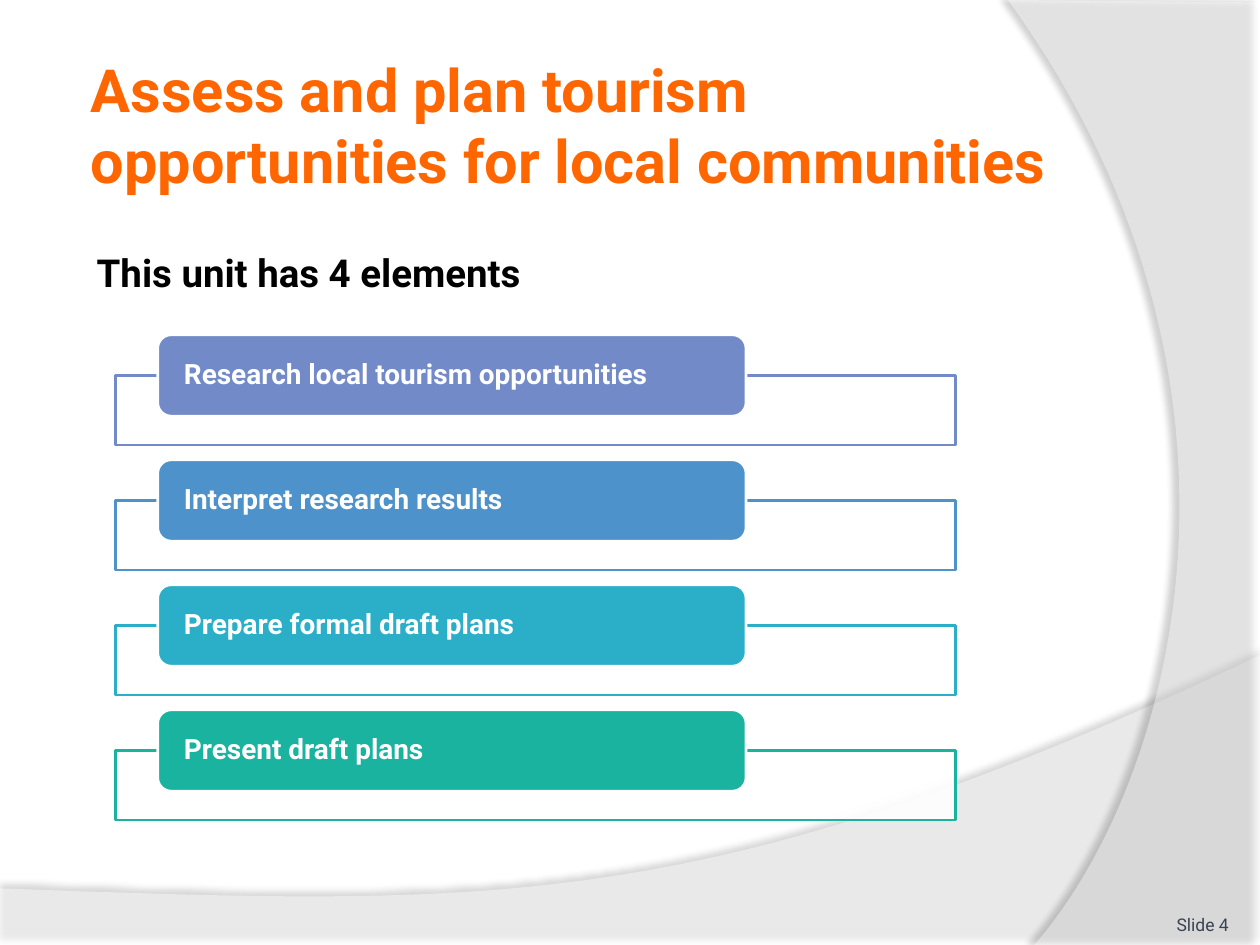
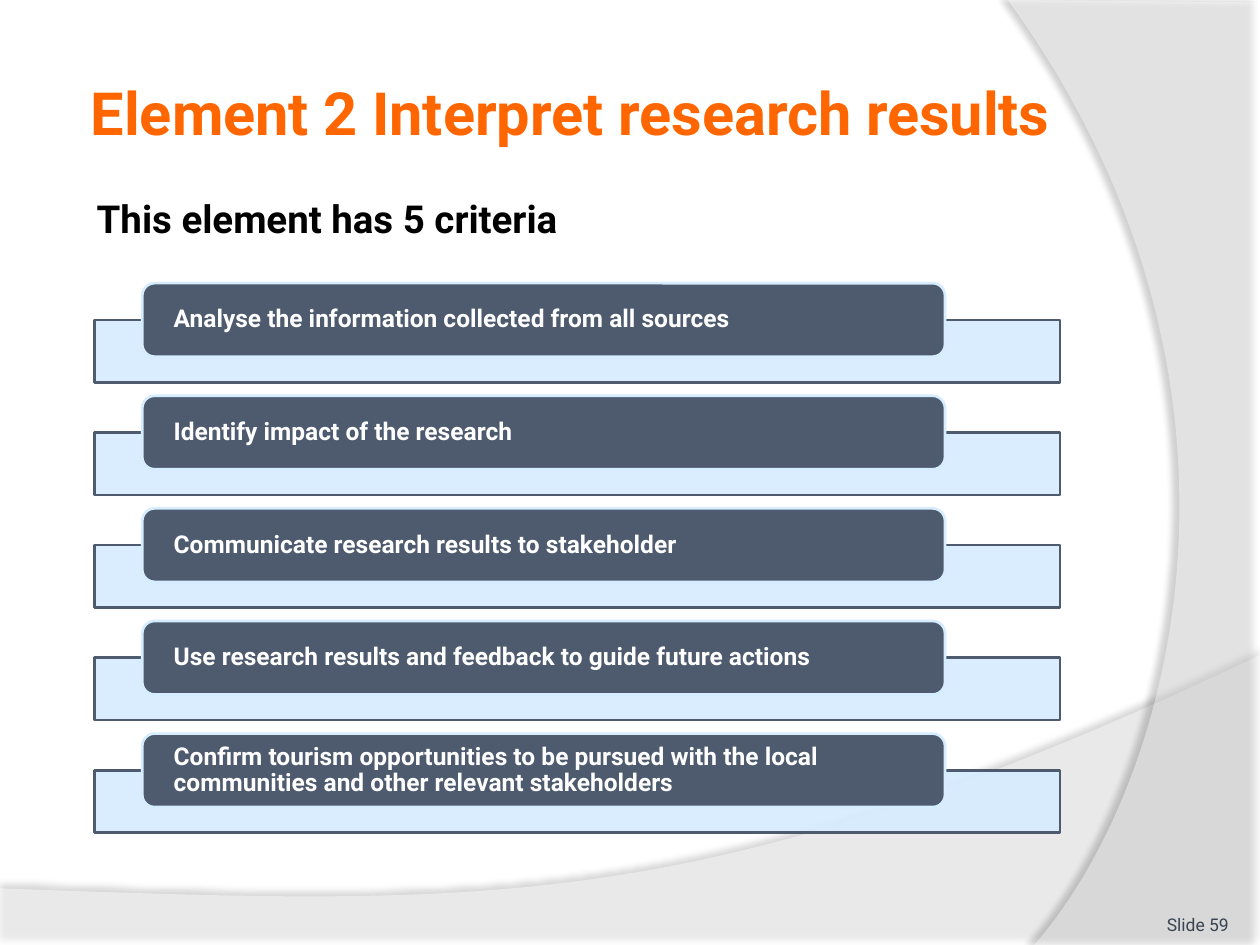
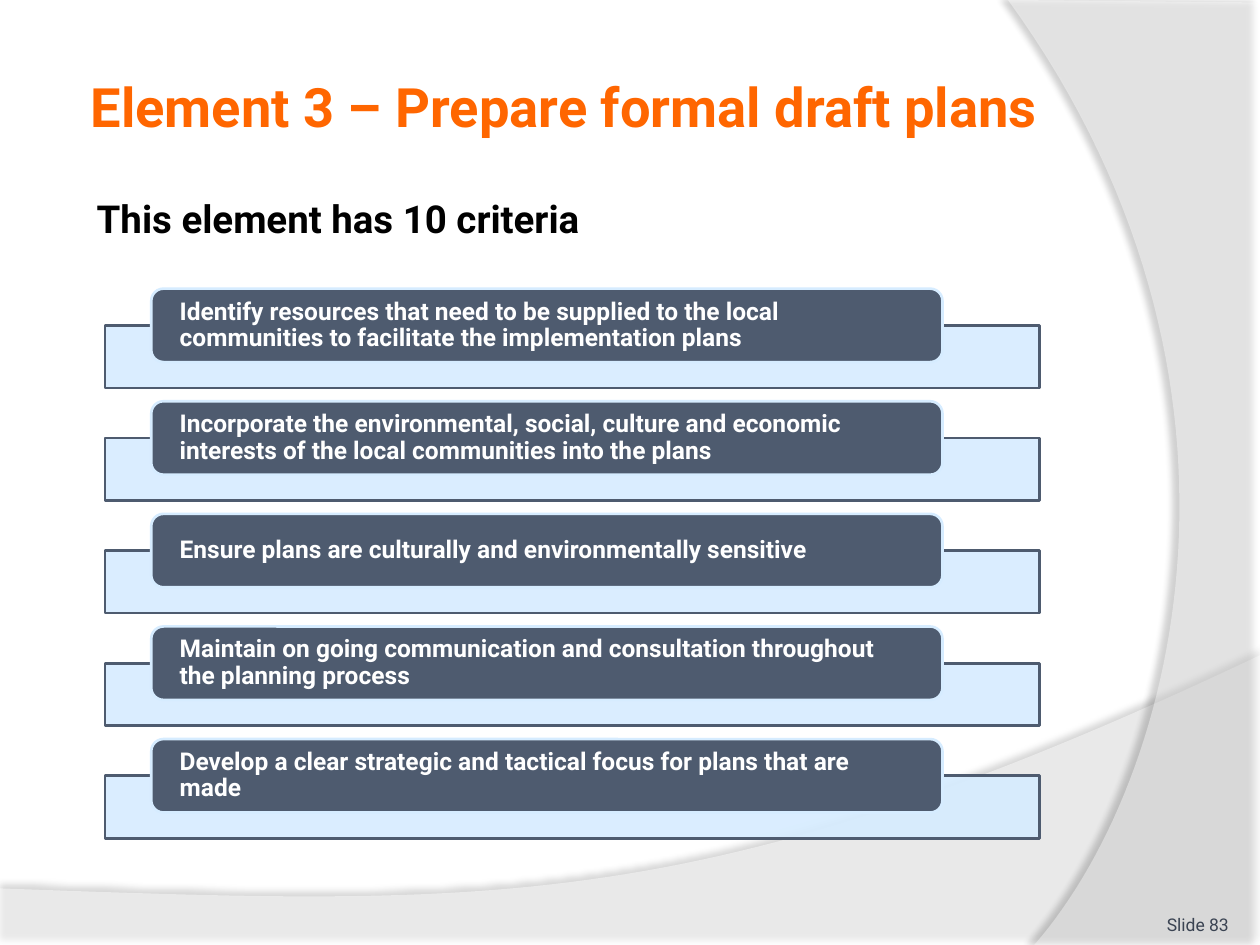
from dataclasses import dataclass

from pptx import Presentation
from pptx.dml.color import RGBColor
from pptx.enum.shapes import MSO_SHAPE
from pptx.enum.text import MSO_ANCHOR, MSO_AUTO_SIZE, PP_ALIGN
from pptx.oxml import parse_xml
from pptx.oxml.ns import nsdecls, qn
from pptx.slide import Slide, SlideLayout
from pptx.text.text import TextFrame
from pptx.util import Cm, Pt

FONT = "Roboto"
COLOURS = {
    "title": "FF6600",
    "body": "000000",
    "footer": "3A4352",
    "white": "FFFFFF",
    "shadow": "000000",
    "slate": "4E5B6F",
    "ice": "D6ECFF",
    "violet": "738AC8",
    "blue": "4D92CA",
    "cyan": "2BAEC7",
    "green": "1AB39F",
}
SLIDE_WIDTH, SLIDE_HEIGHT = 25.4, 19.05
CONTENT_LEFT, CONTENT_WIDTH, CONTENT_BOTTOM = 1.7, 20.75, 16.92
TITLE_TOP = 0.91
CURVE_STEPS = 60

Point = tuple[float, float]


@dataclass(frozen=True)
class Wave:
    """A background area: straight corners, closed by one cubic curve."""
    corners: list[Point]
    curve: tuple[Point, Point, Point, Point]
    opacity: int
    shadow_opacity: int
    shadow_distance: float
    shadow_angle: int


@dataclass(frozen=True)
class StackStyle:
    """Measures, in centimetres, of a column of frames with overlapping tags."""
    left: float
    top: float
    width: float
    height: float
    pitch: float
    tag_left: float
    tag_width: float
    tag_height: float
    tag_rise: float
    tag_inset: float
    text_size: int
    paper: str
    inks: list[str]


@dataclass(frozen=True)
class ElementSlide:
    number: int
    title: str
    title_size: int
    title_height: float
    lead: str
    lead_top: float
    items: list[str]
    style: StackStyle


WAVES = [
    Wave([(0, 17.91), (0, SLIDE_HEIGHT), (SLIDE_WIDTH, SLIDE_HEIGHT)],
         ((25.4, 13.21), (14.2, 18.52), (9.93, 18.26), (0, 17.91)),
         45, 35, 3.5, 270),
    Wave([(SLIDE_WIDTH, 0.05), (SLIDE_WIDTH, SLIDE_HEIGHT)],
         ((20.85, 19.05), (23.75, 15.72), (25.86, 7.62), (20.32, 0)),
         40, 45, 4, 180),
]

SLIDES = [
    ElementSlide(
        4, "Assess and plan tourism opportunities for local communities", 34, 3.18,
        "This unit has 4 elements", 4.88,
        [
            "Research local tourism opportunities",
            "Interpret research results",
            "Prepare formal draft plans",
            "Present draft plans",
        ],
        StackStyle(2.33, 7.57, 16.93, 1.4, 2.52, 3.18, 11.86, 1.64, 0.82, 0.45,
                   16, "white", ["violet", "blue", "cyan", "green"]),
    ),
    ElementSlide(
        59, "Element 2 Interpret research results", 34, 2.67,
        "This element has 5 criteria", 3.81,
        [
            "Analyse the information collected from all sources",
            "Identify impact of the research",
            "Communicate research results to stakeholder",
            "Use research results and feedback to guide future actions",
            "Confirm tourism opportunities to be pursued with the local "
            "communities and other relevant stakeholders",
        ],
        StackStyle(1.9, 6.45, 19.47, 1.26, 2.27, 2.87, 16.18, 1.48, 0.74, 0.56,
                   14, "ice", ["slate"]),
    ),
    ElementSlide(
        83, "Element 3 – Prepare formal draft plans", 31, 2.46,
        "This element has 10 criteria", 3.81,
        [
            "Identify resources that need to be supplied to the local "
            "communities to facilitate the implementation plans",
            "Incorporate the environmental, social, culture and economic "
            "interests of the local communities into the plans",
            "Ensure plans are culturally and environmentally sensitive",
            "Maintain on going communication and consultation throughout "
            "the planning process",
            "Develop a clear strategic and tactical focus for plans that are made",
        ],
        StackStyle(2.12, 6.56, 18.84, 1.26, 2.27, 3.05, 15.95, 1.48, 0.74, 0.5,
                   14, "ice", ["slate"]),
    ),
]


def colour(name: str) -> RGBColor:
    return RGBColor.from_string(COLOURS[name])


def place(shape, left: float, top: float, width: float, height: float) -> None:
    shape.left, shape.top = Cm(left), Cm(top)
    shape.width, shape.height = Cm(width), Cm(height)


def set_opacity(shape, percent: int) -> None:
    fill_colour = shape.element.spPr.find(qn("a:solidFill"))[0]
    fill_colour.append(parse_xml(f'<a:alpha {nsdecls("a")} val="{percent * 1000}"/>'))


def write(frame: TextFrame, text: str, size: int, colour_name: str, bold: bool = True,
          anchor: MSO_ANCHOR = MSO_ANCHOR.MIDDLE, align: PP_ALIGN = PP_ALIGN.LEFT,
          inset: tuple[float, float] = (0, 0)):
    """Write one formatted run; inset is horizontal, then vertical."""
    frame.word_wrap = True
    frame.auto_size = MSO_AUTO_SIZE.NONE
    frame.vertical_anchor = anchor
    frame.margin_left = frame.margin_right = Cm(inset[0])
    frame.margin_top = frame.margin_bottom = Cm(inset[1])
    paragraph = frame.paragraphs[0]
    paragraph.alignment = align
    paragraph.space_before = Pt(0)
    run = paragraph.add_run()
    run.text = text
    run.font.name, run.font.size, run.font.bold = FONT, Pt(size), bold
    run.font.color.rgb = colour(colour_name)
    return paragraph


def curve_points(curve: tuple[Point, Point, Point, Point]) -> list[Point]:
    points = []
    for step in range(CURVE_STEPS + 1):
        t = step / CURVE_STEPS
        weights = ((1 - t) ** 3, 3 * t * (1 - t) ** 2, 3 * t ** 2 * (1 - t), t ** 3)
        points.append(tuple(sum(weight * point[axis] for weight, point in zip(weights, curve))
                            for axis in (0, 1)))
    return points


def add_waves(slide: Slide, layout: SlideLayout) -> None:
    """Draw the waves on a slide, then move them behind everything on its layout."""
    for index, wave in enumerate(WAVES):
        points = [(Cm(x), Cm(y)) for x, y in wave.corners + curve_points(wave.curve)]
        builder = slide.shapes.build_freeform(*points[0])
        builder.add_line_segments(points[1:], close=True)
        shape = builder.convert_to_shape()
        shape.fill.solid()
        shape.fill.fore_color.rgb = colour("white")
        set_opacity(shape, wave.opacity)
        shape.line.fill.background()
        shape.shadow.inherit = False
        effects = shape.element.spPr.find(qn("a:effectLst"))
        effects.append(parse_xml(
            f'<a:outerShdw {nsdecls("a")} blurRad="{Pt(4)}" dist="{Pt(wave.shadow_distance)}" '
            f'dir="{wave.shadow_angle * 60000}" algn="ctr" rotWithShape="0">'
            f'<a:srgbClr val="{COLOURS["shadow"]}">'
            f'<a:alpha val="{wave.shadow_opacity * 1000}"/></a:srgbClr></a:outerShdw>'))
        shape.element.nvSpPr.cNvPr.set("id", str(20 + index))
        layout.shapes.element.insert(2 + index, shape.element)


def add_box(slide: Slide, kind: MSO_SHAPE, bounds: tuple[float, float, float, float],
            fill: str, line: str):
    shape = slide.shapes.add_shape(kind, *(Cm(length) for length in bounds))
    shape.shadow.inherit = False
    shape.fill.solid()
    shape.fill.fore_color.rgb = colour(fill)
    shape.line.color.rgb = colour(line)
    shape.line.width = Pt(1.5)
    return shape


def add_stack(slide: Slide, items: list[str], style: StackStyle) -> None:
    for index, item in enumerate(items):
        ink = style.inks[index % len(style.inks)]
        top = style.top + index * style.pitch
        frame = add_box(slide, MSO_SHAPE.RECTANGLE,
                        (style.left, top, style.width, style.height), style.paper, ink)
        set_opacity(frame, 90)
        tag = add_box(slide, MSO_SHAPE.ROUNDED_RECTANGLE,
                      (style.tag_left, top - style.tag_rise, style.tag_width, style.tag_height),
                      ink, style.paper)
        paragraph = write(tag.text_frame, item, style.text_size, "white",
                          inset=(style.tag_inset, 0))
        paragraph.line_spacing = 0.9


def fill_slide(slide: Slide, content: ElementSlide) -> None:
    title = slide.shapes.title
    place(title, CONTENT_LEFT, TITLE_TOP, CONTENT_WIDTH, content.title_height)
    write(title.text_frame, content.title, content.title_size, "title", inset=(0.13, 0.13))

    body = slide.placeholders[1]
    place(body, CONTENT_LEFT, content.lead_top, CONTENT_WIDTH, CONTENT_BOTTOM - content.lead_top)
    properties = body.text_frame.paragraphs[0]._p.get_or_add_pPr()
    properties.set("marL", str(Cm(1.27)))
    properties.set("indent", str(-Cm(1.27)))
    properties.append(parse_xml(f'<a:buNone {nsdecls("a")}/>'))
    paragraph = write(body.text_frame, content.lead, 22, "body",
                      anchor=MSO_ANCHOR.TOP, inset=(0.25, 0.13))
    paragraph.space_after = Pt(12)

    footer = slide.shapes.add_textbox(Cm(22.66), Cm(17.83), Cm(2.11), Cm(1.02))
    write(footer.text_frame, f"Slide {content.number}", 10, "footer", bold=False,
          anchor=MSO_ANCHOR.BOTTOM, align=PP_ALIGN.RIGHT)

    add_stack(slide, content.items, content.style)


def main() -> None:
    presentation = Presentation()
    presentation.slide_width, presentation.slide_height = Cm(SLIDE_WIDTH), Cm(SLIDE_HEIGHT)
    layout = presentation.slide_layouts[1]
    for index, content in enumerate(SLIDES):
        slide = presentation.slides.add_slide(layout)
        if index == 0:
            add_waves(slide, layout)
        fill_slide(slide, content)
    presentation.save("out.pptx")


if __name__ == "__main__":
    main()
